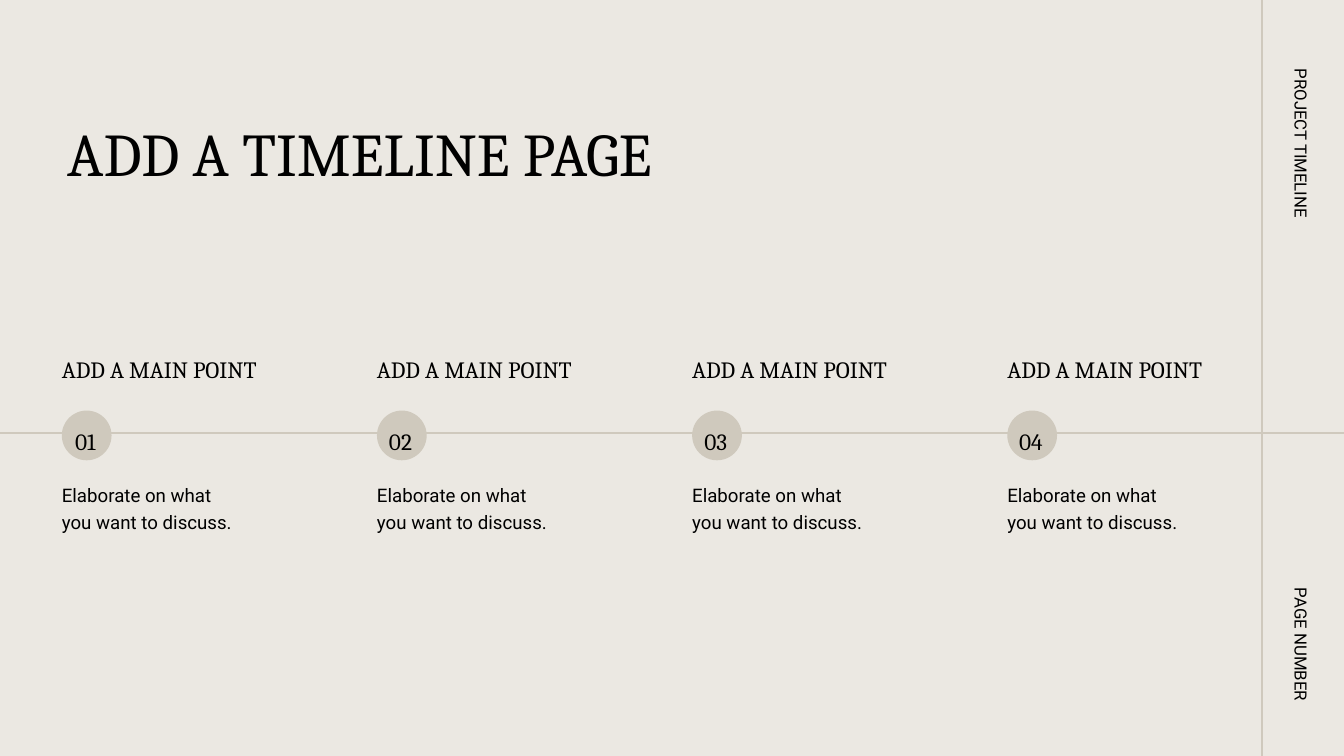
from dataclasses import dataclass

from lxml import etree
from pptx import Presentation
from pptx.dml.color import RGBColor
from pptx.enum.shapes import MSO_CONNECTOR, MSO_SHAPE
from pptx.enum.text import MSO_ANCHOR, MSO_AUTO_SIZE, PP_ALIGN
from pptx.oxml.ns import qn
from pptx.util import Inches, Pt

STRAIGHT = MSO_CONNECTOR.STRAIGHT
OVAL = MSO_SHAPE.OVAL
TOP = MSO_ANCHOR.TOP
GROW = MSO_AUTO_SIZE.SHAPE_TO_FIT_TEXT
LEFT, CENTER, RIGHT = PP_ALIGN.LEFT, PP_ALIGN.CENTER, PP_ALIGN.RIGHT


@dataclass(frozen=True)
class Theme:
    background: RGBColor = RGBColor(0xEB, 0xE8, 0xE2)
    accent: RGBColor = RGBColor(0xCF, 0xC9, 0xBD)
    text: RGBColor = RGBColor(0, 0, 0)
    serif: str = "Cambria"
    sans: str = "Roboto"
    title_size: int = 65
    heading_size: int = 25
    body_size: int = 20
    label_size: int = 18
    line_width: float = 2.25


THEME = Theme()
WIDTH, HEIGHT = 20, 11.25
COLUMN_START, COLUMN_PITCH = 0.92, 4.69
HEADING_TOP, MARKER_TOP, DETAIL_TOP = 5.2, 6.11, 7.14
MARKER_SIZE = 0.74
AXIS_Y, SIDEBAR_X = 6.44, 18.78

STEPS = [("ADD A MAIN POINT", ["Elaborate on what", "you want to discuss."])] * 4
SIDE_LABELS = [("PROJECT TIMELINE", 1.88), ("PAGE NUMBER", 9.07)]


def inches(*lengths):
    return [Inches(length) for length in lengths]


def write_text(shape, lines, font_name, size, alignment=LEFT, spacing=1.2):
    frame = shape.text_frame
    frame.margin_left = frame.margin_right = frame.margin_top = frame.margin_bottom = 0
    frame.word_wrap = True
    frame.auto_size = GROW
    frame.vertical_anchor = TOP
    frame.text = "\n".join(lines)
    for paragraph in frame.paragraphs:
        paragraph.alignment = alignment
        paragraph.line_spacing = spacing
        paragraph.font.name = font_name
        paragraph.font.size = Pt(size)
        paragraph.font.color.rgb = THEME.text


def add_text(shapes, box, lines, font_name, size, alignment=LEFT):
    shape = shapes.add_textbox(*inches(*box))
    write_text(shape, lines, font_name, size, alignment)
    return shape


def add_line(slide, start, end):
    line = slide.shapes.add_connector(STRAIGHT, *inches(*start, *end))
    line.line.color.rgb = THEME.accent
    line.line.width = Pt(THEME.line_width)
    etree.SubElement(line._element.spPr, qn("a:effectLst"))


def set_title(slide, text):
    title = slide.shapes.title
    title.left, title.top, title.width, title.height = inches(1, 1.39, 11.75, 1.09)
    write_text(title, [text], THEME.serif, THEME.title_size, spacing=1.31)


def add_marker(slide, left, number):
    """Group a circle on the axis with its two-digit number."""
    group = slide.shapes.add_group_shape()
    circle = group.shapes.add_shape(
        OVAL, *inches(left, MARKER_TOP, MARKER_SIZE, MARKER_SIZE))
    circle.shadow.inherit = False
    circle.fill.solid()
    circle.fill.fore_color.rgb = THEME.accent
    circle.line.fill.background()
    add_text(group.shapes, (left + 0.05, MARKER_TOP + 0.16, 0.6, 0.42),
             [f"{number:02}"], THEME.serif, THEME.heading_size, CENTER)


def add_step(slide, index, heading, details):
    left = COLUMN_START + index * COLUMN_PITCH
    add_text(slide.shapes, (left, HEADING_TOP, 3.68, 0.42),
             [heading], THEME.serif, THEME.heading_size)
    add_marker(slide, left, index + 1)
    add_text(slide.shapes, (left, DETAIL_TOP, 3.08, 0.74),
             details, THEME.sans, THEME.body_size)


def add_side_label(slide, text, top):
    label = add_text(slide.shapes, (18.21, top, 2.43, 0.3),
                     [text], THEME.sans, THEME.label_size, RIGHT)
    label.rotation = 90


def main():
    presentation = Presentation()
    presentation.slide_width, presentation.slide_height = inches(WIDTH, HEIGHT)
    slide = presentation.slides.add_slide(
        presentation.slide_layouts.get_by_name("Title Only"))
    slide.background.fill.solid()
    slide.background.fill.fore_color.rgb = THEME.background

    set_title(slide, "ADD A TIMELINE PAGE")
    add_line(slide, (0, AXIS_Y), (WIDTH, AXIS_Y))
    add_line(slide, (SIDEBAR_X, 0), (SIDEBAR_X, HEIGHT))
    for index, (heading, details) in enumerate(STEPS):
        add_step(slide, index, heading, details)
    for text, top in SIDE_LABELS:
        add_side_label(slide, text, top)

    presentation.save("out.pptx")


if __name__ == "__main__":
    main()
